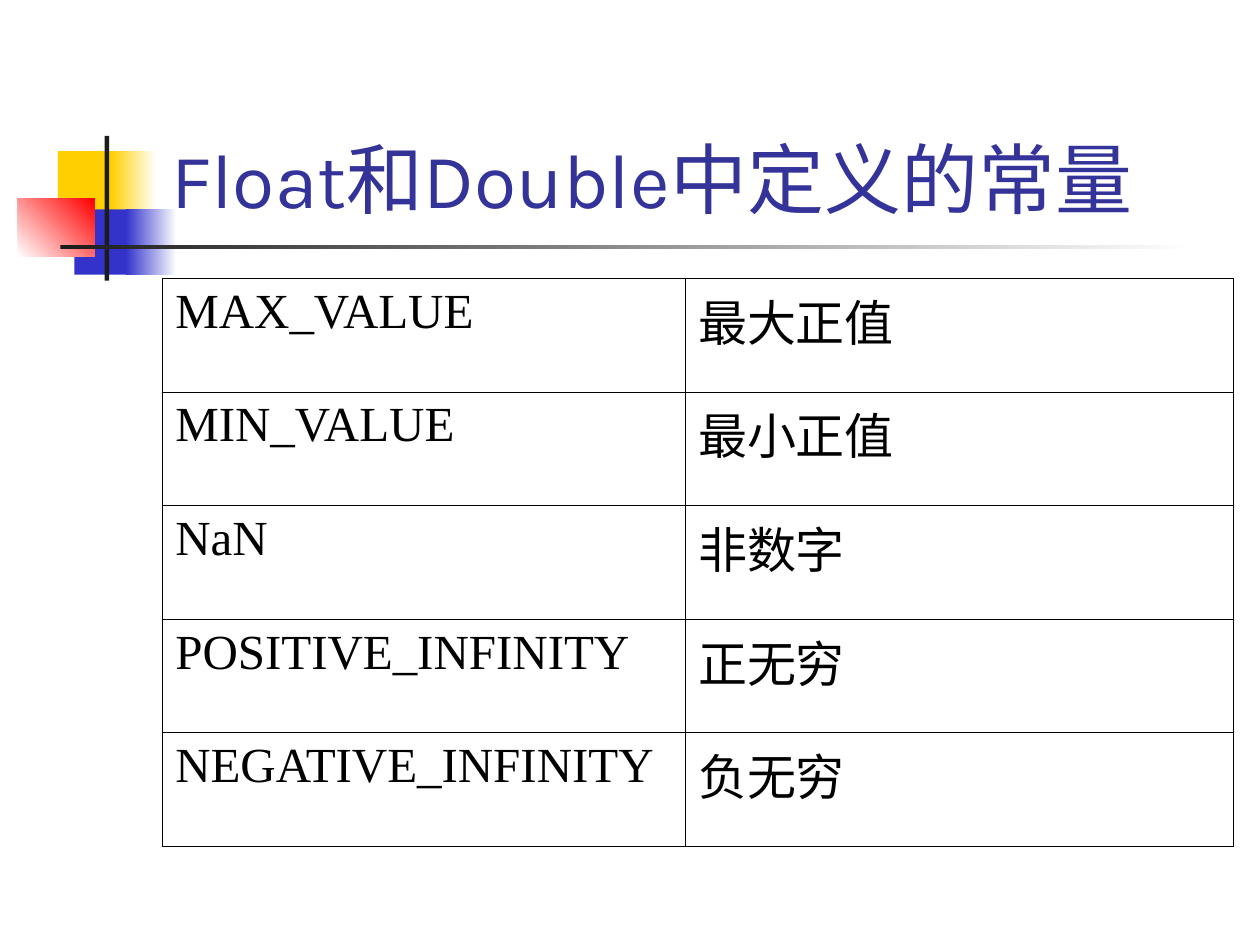
from dataclasses import dataclass
from typing import Optional

from lxml.etree import SubElement
from pptx import Presentation
from pptx.dml.color import RGBColor
from pptx.enum.shapes import MSO_SHAPE
from pptx.enum.text import MSO_ANCHOR
from pptx.oxml.ns import qn
from pptx.util import Cm, Pt


@dataclass(frozen=True)
class Theme:
    yellow: str = "FFCF01"
    blue: str = "3333CC"
    red: str = "FF0000"
    dark: str = "1C1C1C"
    white: str = "FFFFFF"
    black: str = "000000"
    title: str = "333399"
    title_font: str = "Karla"
    body_font: str = "Times New Roman"
    title_size: int = 44
    body_size: int = 28
    border: float = 0.45


@dataclass(frozen=True)
class Block:
    x: float
    y: float
    w: float
    h: float
    color: str
    fade_to: Optional[str] = None
    angle: float = 0


THEME = Theme()
BLOCKS = [
    Block(1.17, 3.05, 1.22, 1.32, THEME.yellow),
    Block(2.24, 3.05, 0.91, 1.32, THEME.yellow, THEME.white),
    Block(1.5, 4.22, 1.17, 1.32, THEME.blue),
    Block(2.54, 4.22, 1.02, 1.32, THEME.blue, THEME.white),
    Block(0.36, 4.01, 1.55, 1.17, THEME.white, THEME.red, 45),
    Block(2.11, 2.74, 0.09, 2.92, THEME.dark),
    Block(1.22, 4.94, 22.86, 0.09, THEME.dark, THEME.white),
]
TITLE = "Float和Double中定义的常量"
CONSTANTS = [
    ("MAX_VALUE", "最大正值"),
    ("MIN_VALUE", "最小正值"),
    ("NaN", "非数字"),
    ("POSITIVE_INFINITY", "正无穷"),
    ("NEGATIVE_INFINITY", "负无穷"),
]
COL_WIDTHS = (10.54, 11.05)
ROW_HEIGHT = 2.29
INDENT = 0.95


def rgb(color: str) -> RGBColor:
    return RGBColor.from_string(color)


def add_block(s, block: Block) -> None:
    sp = s.shapes.add_shape(MSO_SHAPE.RECTANGLE, Cm(block.x), Cm(block.y), Cm(block.w), Cm(block.h))
    sp.shadow.inherit = False
    sp.line.fill.background()
    if block.fade_to is None:
        sp.fill.solid()
        sp.fill.fore_color.rgb = rgb(block.color)
        return
    sp.fill.gradient()
    sp.fill.gradient_angle = block.angle
    for stop, color in zip(sp.fill.gradient_stops, (block.color, block.fade_to)):
        stop.color.rgb = rgb(color)


def add_run(p, text: str, font: str, size: int, color: str) -> None:
    r = p.add_run()
    r.text = text
    r.font.name = font
    r.font.size = Pt(size)
    r.font.color.rgb = rgb(color)


def add_title(s) -> None:
    tf = s.shapes.add_textbox(Cm(3.2), Cm(0.58), Cm(21.64), Cm(4.06)).text_frame
    tf.word_wrap = True
    tf.vertical_anchor = MSO_ANCHOR.BOTTOM
    add_run(tf.paragraphs[0], TITLE, THEME.title_font, THEME.title_size, THEME.title)


def set_borders(cell) -> None:
    tc_pr = cell._tc.get_or_add_tcPr()
    for side in ("a:lnL", "a:lnR", "a:lnT", "a:lnB"):
        ln = SubElement(tc_pr, qn(side), w=str(Pt(THEME.border)))
        fill = SubElement(ln, qn("a:solidFill"))
        SubElement(fill, qn("a:srgbClr"), val=THEME.black)


def fill_cell(cell, text: str) -> None:
    set_borders(cell)
    cell.fill.background()
    p = cell.text_frame.paragraphs[0]
    p_pr = p._p.get_or_add_pPr()
    p_pr.set("marL", str(Cm(INDENT)))
    p_pr.set("indent", str(-Cm(INDENT)))
    add_run(p, text, THEME.body_font, THEME.body_size, THEME.black)


def add_constants(s) -> None:
    rows, cols = len(CONSTANTS), len(COL_WIDTHS)
    table = s.shapes.add_table(rows, cols, Cm(3.28), Cm(5.61),
                               Cm(sum(COL_WIDTHS)), Cm(rows * ROW_HEIGHT)).table
    table.first_row = False
    table.horz_banding = False
    for column, width in zip(table.columns, COL_WIDTHS):
        column.width = Cm(width)
    for row, texts in zip(table.rows, CONSTANTS):
        row.height = Cm(ROW_HEIGHT)
        for cell, text in zip(row.cells, texts):
            fill_cell(cell, text)


def main() -> None:
    prs = Presentation()
    prs.slide_width, prs.slide_height = Cm(25.4), Cm(19.05)
    s = prs.slides.add_slide(prs.slide_layouts[6])
    for block in BLOCKS:
        add_block(s, block)
    add_title(s)
    add_constants(s)
    prs.save("out.pptx")


if __name__ == "__main__":
    main()
